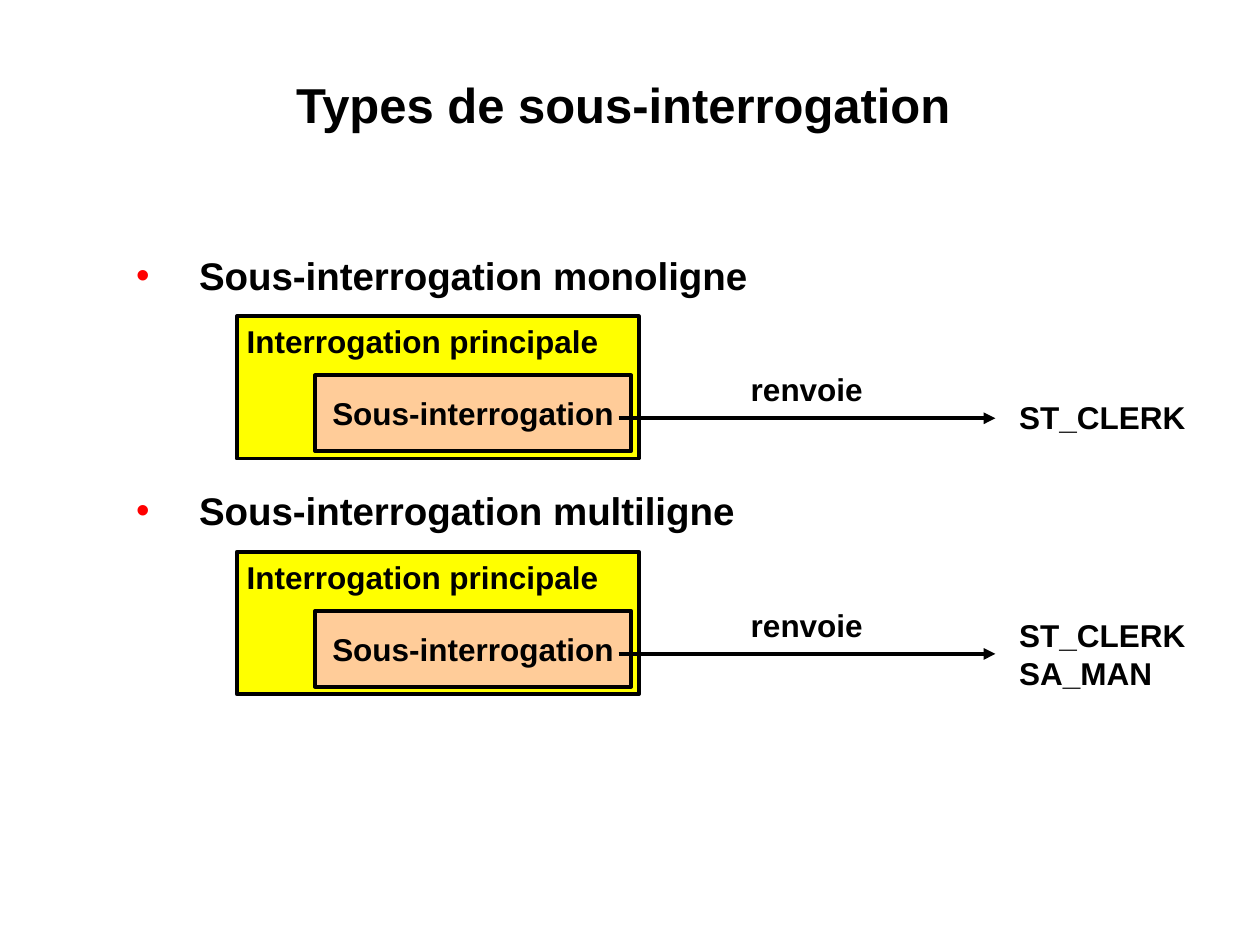
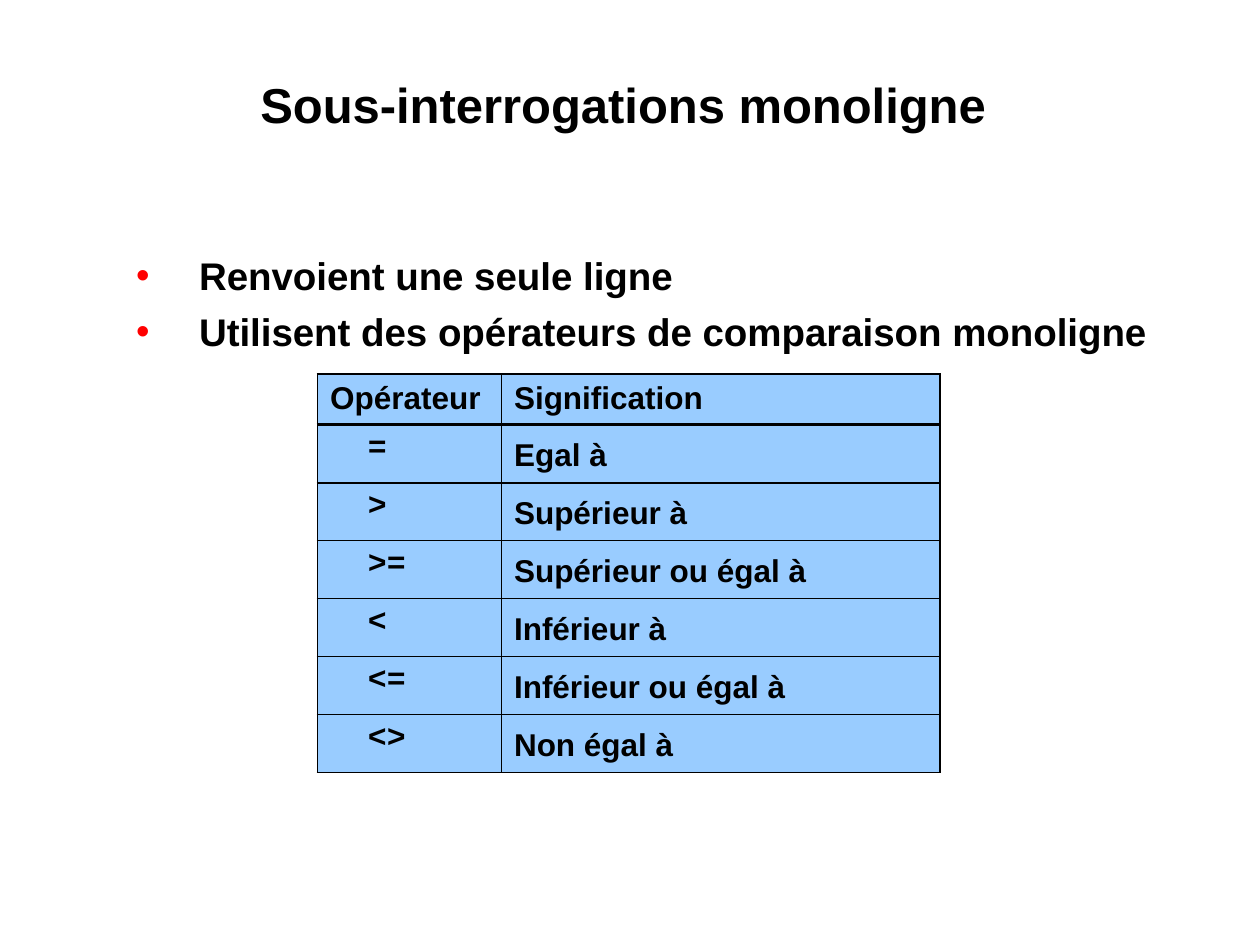
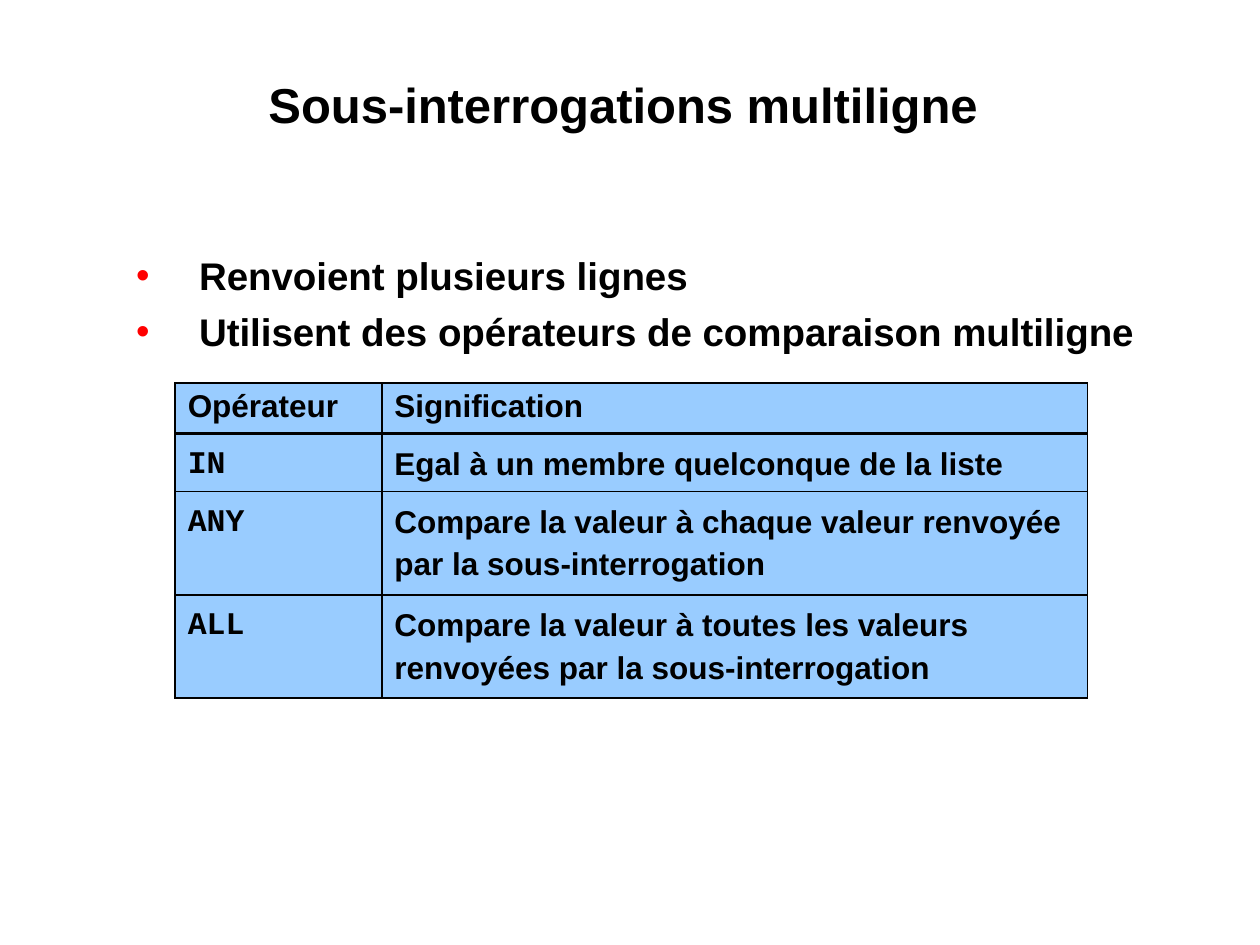
from lxml.etree import SubElement
from pptx import Presentation
from pptx.dml.color import RGBColor
from pptx.enum.shapes import MSO_CONNECTOR, MSO_SHAPE
from pptx.enum.text import MSO_ANCHOR, MSO_AUTO_SIZE, PP_ALIGN
from pptx.oxml import parse_xml
from pptx.oxml.ns import nsdecls, qn
from pptx.util import Inches, Pt

BLACK = RGBColor(0x00, 0x00, 0x00)
RED = RGBColor(0xFF, 0x00, 0x00)
YELLOW = RGBColor(0xFF, 0xFF, 0x00)
PEACH = RGBColor(0xFF, 0xCC, 0x99)
SKY_BLUE = RGBColor(0x99, 0xCC, 0xFF)
SANS = "Arial"
MONO = "Courier New"
THIN, THICK = 1.08, 2.21


def write_text(frame, text, size=18, font=SANS, align=PP_ALIGN.LEFT, wrap=True,
               fit=False, margins=(0.1, 0.05), bullet=False, gap=0, line_spacing=None):
    """Fill a text frame or table cell, one paragraph per line of text."""
    frame.margin_left = frame.margin_right = Inches(margins[0])
    frame.margin_top = frame.margin_bottom = Inches(margins[1])
    frame = getattr(frame, "text_frame", frame)
    frame.word_wrap = wrap
    if fit:
        frame.auto_size = MSO_AUTO_SIZE.SHAPE_TO_FIT_TEXT
    for index, line in enumerate(text.split("\n")):
        paragraph = frame.add_paragraph() if index else frame.paragraphs[0]
        if bullet:
            properties = paragraph._p.get_or_add_pPr()
            properties.set("marL", str(Inches(0.63)))
            properties.set("indent", str(Inches(-0.5)))
            color = SubElement(properties, qn("a:buClr"))
            SubElement(color, qn("a:srgbClr"), val=str(RED))
            SubElement(properties, qn("a:buFont"), typeface=SANS)
            SubElement(properties, qn("a:buChar"), char="•")
        paragraph.alignment = align
        paragraph.line_spacing = line_spacing
        if index:
            paragraph.space_before = Pt(gap)
        run = paragraph.add_run()
        run.text = line
        run.font.name = font
        run.font.size = Pt(size)
        run.font.bold = True
        run.font.color.rgb = BLACK


def add_operator_table(slide, left, top, widths, heights, rows, **operator_format):
    frame = slide.shapes.add_table(len(rows), len(widths), Inches(left), Inches(top),
                                   Inches(sum(widths)), Inches(sum(heights)))
    table = frame.table
    for column, width in zip(table.columns, widths):
        column.width = Inches(width)
    for row, height in zip(table.rows, heights):
        row.height = Inches(height)
    for row_index, texts in enumerate(rows):
        for column_index, text in enumerate(texts):
            cell = table.cell(row_index, column_index)
            edges = {"L": THIN, "R": THIN,
                     "T": THICK if row_index == 1 else THIN,
                     "B": THICK if row_index == 0 else THIN}
            for edge, width in edges.items():
                cell._tc.get_or_add_tcPr().append(parse_xml(
                    f'<a:ln{edge} {nsdecls("a")} w="{Pt(width)}"><a:solidFill>'
                    f'<a:srgbClr val="{BLACK}"/></a:solidFill></a:ln{edge}>'))
            cell.fill.solid()
            cell.fill.fore_color.rgb = SKY_BLUE
            cell_format = {"line_spacing": 1.2} if row_index else {}
            if row_index and column_index == 0:
                cell_format.update(font=MONO, **operator_format)
            write_text(cell, text, **cell_format)
            if "margins" in cell_format:
                cell.margin_right = Inches(0.1)


presentation = Presentation()
presentation.slide_width = Inches(10)
presentation.slide_height = Inches(7.5)

# Title, bullets, bullet box width and height, space between bullets
CONTENTS = [
    ("Types de sous-interrogation ",
     "Sous-interrogation monoligne\nSous-interrogation multiligne", 8.06, 2.26, 108),
    ("Sous-interrogations monoligne ",
     "Renvoient une seule ligne\nUtilisent des opérateurs de comparaison monoligne",
     8.38, 0.84, 5.5),
    ("Sous-interrogations multiligne ",
     "Renvoient plusieurs lignes\nUtilisent des opérateurs de comparaison multiligne",
     8.45, 0.84, 5.5),
]
slides = []
for title, bullets, width, height, gap in CONTENTS:
    slide = presentation.slides.add_slide(presentation.slide_layouts[6])
    slides.append(slide)
    box = slide.shapes.add_textbox(Inches(1), Inches(0.58), Inches(8), Inches(0.96))
    write_text(box.text_frame, title, size=28, align=PP_ALIGN.CENTER, margins=(0.01, 0.01))
    box = slide.shapes.add_textbox(Inches(0.94), Inches(1.99), Inches(width), Inches(height))
    write_text(box.text_frame, bullets, size=22, margins=(0.01, 0.01), bullet=True, gap=gap)

types_slide, single_row_slide, multiple_row_slide = slides

# Diagram top, returned values, their top and box size
DIAGRAMS = [
    (2.51, "ST_CLERK", 3.11, 1.52, 0.4),
    (4.38, "ST_CLERK\nSA_MAN", 4.84, 1.59, 0.7),
]
shapes = types_slide.shapes
for top, values, values_top, values_width, values_height in DIAGRAMS:
    main_query = (1.88, top, 3.19, 1.13, YELLOW, "")
    subquery = (2.5, top + 0.47, 2.51, 0.6, PEACH, "Sous-interrogation")
    for left, box_top, width, height, color, text in (main_query, subquery):
        shape = shapes.add_shape(MSO_SHAPE.RECTANGLE, Inches(left), Inches(box_top),
                                 Inches(width), Inches(height))
        shape.shadow.inherit = False
        shape.fill.solid()
        shape.fill.fore_color.rgb = color
        shape.line.color.rgb = BLACK
        shape.line.width = Pt(2.25)
        if text:
            shape.text_frame.vertical_anchor = MSO_ANCHOR.MIDDLE
            write_text(shape.text_frame, text, align=PP_ALIGN.CENTER, wrap=False)

    arrow_y = Inches(top + 0.81)
    arrow = shapes.add_connector(MSO_CONNECTOR.STRAIGHT, Inches(4.91), arrow_y,
                                 Inches(7.9), arrow_y)
    arrow.line.color.rgb = BLACK
    arrow.line.width = Pt(2.25)
    SubElement(arrow.line._get_or_add_ln(), qn("a:tailEnd"), type="triangle")
    SubElement(arrow._element.spPr, qn("a:effectLst"))

    labels = [
        ("Interrogation principale", 1.86, top, 2.99, 0.4),
        ("renvoie", 5.86, top + 0.38, 1.09, 0.4),
        (values, 7.99, values_top, values_width, values_height),
    ]
    for text, left, label_top, width, height in labels:
        label = shapes.add_textbox(Inches(left), Inches(label_top),
                                   Inches(width), Inches(height))
        write_text(label.text_frame, text, wrap=False, fit=True)

HEADER = ("Opérateur", "Signification")
add_operator_table(
    single_row_slide, 2.52, 2.97, [1.46, 3.48], [0.4] + [0.46] * 6,
    [HEADER,
     ("=", "Egal à"),
     (">", "Supérieur à"),
     (">=", "Supérieur ou égal à"),
     ("<", "Inférieur à"),
     ("<=", "Inférieur ou égal à"),
     ("<>", "Non égal à")],
    margins=(0.4, 0.05), line_spacing=0.95)
add_operator_table(
    multiple_row_slide, 1.39, 3.04, [1.64, 5.6], [0.4, 0.46, 0.82, 0.82],
    [HEADER,
     ("IN", "Egal à un membre quelconque de la liste"),
     ("ANY", "Compare la valeur à chaque valeur renvoyée par la sous-interrogation"),
     ("ALL", "Compare la valeur à toutes les valeurs renvoyées par la sous-interrogation")])

presentation.save("out.pptx")
